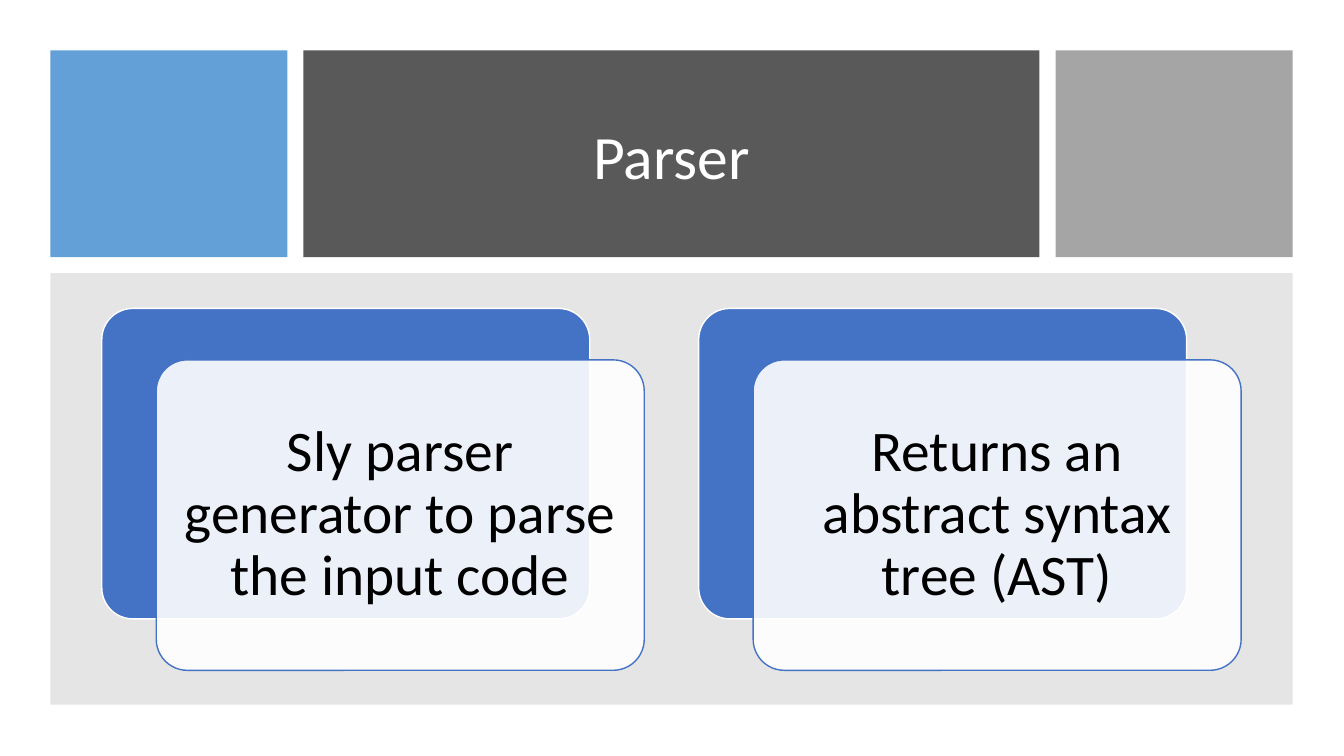
"""Build the Parser slide: a title band above two layered cards."""
from lxml import etree
from pptx import Presentation
from pptx.dml.color import RGBColor
from pptx.enum.shapes import MSO_SHAPE
from pptx.enum.text import MSO_ANCHOR, PP_ALIGN
from pptx.oxml.ns import qn
from pptx.util import Inches, Pt

RECT, ROUNDED = MSO_SHAPE.RECTANGLE, MSO_SHAPE.ROUNDED_RECTANGLE
MIDDLE, CENTER = MSO_ANCHOR.MIDDLE, PP_ALIGN.CENTER


def add_box(kind, x, y, w, h, fill, opacity=100, line=None):
    sp = s.shapes.add_shape(kind, Inches(x), Inches(y), Inches(w), Inches(h))
    sp.shadow.inherit = False
    sp.fill.solid()
    sp.fill.fore_color.rgb = RGBColor.from_string(fill)
    if opacity < 100:
        color = sp.fill._xPr.find(qn("a:solidFill"))[0]
        etree.SubElement(color, qn("a:alpha"), val=str(opacity * 1000))
    if line:
        sp.line.color.rgb = RGBColor.from_string(line)
        sp.line.width = Pt(1)
    else:
        sp.line.fill.background()
    return sp


def set_text(sp, text, size, color):
    tf = sp.text_frame
    tf.text = text
    tf.word_wrap = True
    tf.vertical_anchor = MIDDLE
    p = tf.paragraphs[0]
    p.alignment = CENTER
    p.line_spacing = 0.9
    p.font.name = "Calibri"
    p.font.size = Pt(size)
    p.font.color.rgb = RGBColor.from_string(color)


prs = Presentation()
prs.slide_width, prs.slide_height = Inches(13.33), Inches(7.5)
s = prs.slides.add_slide(prs.slide_layouts[5])

for x, w, fill, opacity in [(0.5, 2.35, "5B9BD5", 95),
                            (3.01, 7.3, "595959", 100),
                            (10.47, 2.35, "A5A5A5", 100)]:
    add_box(RECT, x, 0.5, w, 2.05, fill, opacity)
add_box(RECT, 0.5, 2.71, 12.32, 4.28, "808080", 20)

title = s.shapes.title
title.left, title.top = Inches(3.33), Inches(0.8)
title.width, title.height = Inches(6.66), Inches(1.56)
set_text(title, "Parser", 44, "FFFFFF")
s.shapes.element.append(title.element)

card_w, card_h, pitch = 4.84, 3.08, 5.92
cards = ["Sly parser generator to parse the input code",
         "Returns an abstract syntax tree (AST)"]
for i, text in enumerate(cards):
    x = 1.01 + i * pitch
    back = add_box(ROUNDED, x, 3.06, card_w, card_h, "4472C4", line="FFFFFF")
    front = add_box(ROUNDED, x + 0.54, 3.57, card_w, card_h, "FFFFFF", 90, "4472C4")
    for sp in (back, front):
        sp.adjustments[0] = 0.1
    set_text(front, text, 41, "000000")
    tf = front.text_frame
    tf.margin_left = tf.margin_right = tf.margin_top = tf.margin_bottom = Inches(0.17)

prs.save("out.pptx")
